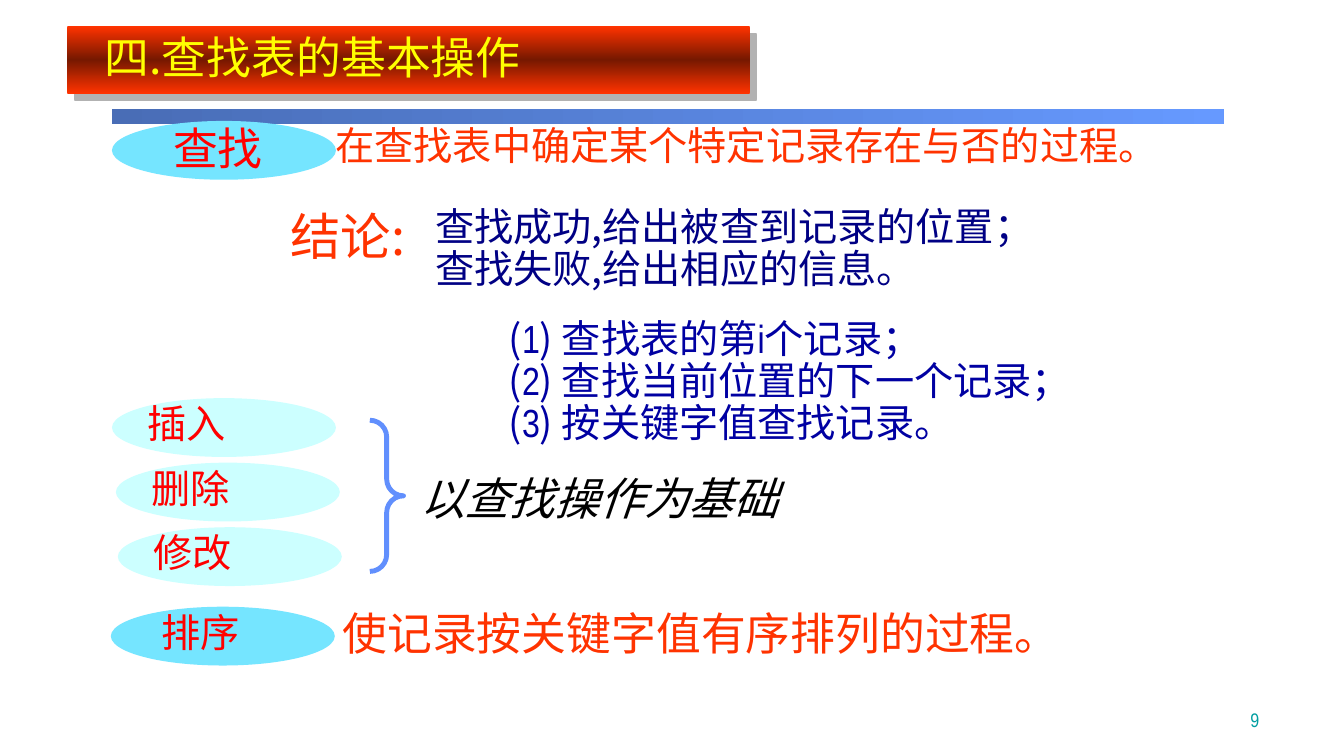
from pptx import Presentation
from pptx.dml.color import RGBColor
from pptx.enum.shapes import MSO_SHAPE
from pptx.enum.text import MSO_ANCHOR, PP_ALIGN
from pptx.oxml import parse_xml
from pptx.oxml.ns import qn
from pptx.util import Pt

RECT, OVAL, BRACE = MSO_SHAPE.RECTANGLE, MSO_SHAPE.OVAL, MSO_SHAPE.RIGHT_BRACE
TOP, BOTTOM = MSO_ANCHOR.TOP, MSO_ANCHOR.BOTTOM
LEFT, RIGHT = PP_ALIGN.LEFT, PP_ALIGN.RIGHT
NS = 'xmlns:a="http://schemas.openxmlformats.org/drawingml/2006/main"'
CJK, SLIM = "Noto Sans CJK SC", "Arial Narrow"
HUES = {
    "steel": "496DB6", "sky": "6699FF", "orange": "FF3300", "rust": "761800",
    "aqua": "75E5FF", "pale": "CCFFFF", "brace": "618FFD", "red": "FF0000",
    "yellow": "FFFF00", "navy": "000084", "blue": "0000A2", "black": "000000",
    "teal": "009EA1", "gray": "B2B2B2",
}


class Deck:
    def __init__(self, slide):
        self.slide = slide

    def shape(self, kind, box):
        item = self.slide.shapes.add_shape(kind, *map(Pt, box))
        item.shadow.inherit = False
        item.fill.background()
        item.line.fill.background()
        return item

    def shade(self, dist, hue):
        return parse_xml(
            f'<a:outerShdw {NS} blurRad="0" dist="{Pt(dist)}" dir="2700000" '
            f'algn="ctr" rotWithShape="0"><a:srgbClr val="{HUES[hue]}"/></a:outerShdw>')

    def band(self, box, hues, angle, shadow=False):
        item = self.shape(RECT, box)
        step = 100000 // (len(hues) - 1)
        stops = "".join(
            f'<a:gs pos="{i * step}"><a:srgbClr val="{HUES[hue]}"/></a:gs>'
            for i, hue in enumerate(hues))
        grad = parse_xml(
            f'<a:gradFill {NS} rotWithShape="1"><a:gsLst>{stops}</a:gsLst>'
            f'<a:lin ang="{angle * 60000}" scaled="0"/></a:gradFill>')
        props = item._element.spPr
        props.replace(props.find(qn("a:noFill")), grad)
        if shadow:
            props.find(qn("a:effectLst")).append(self.shade(7.1, "gray"))

    def oval(self, x, y, hue):
        item = self.shape(OVAL, (x, y, 160, 42))
        item.fill.solid()
        item.fill.fore_color.rgb = RGBColor.from_string(HUES[hue])

    def brace(self, box):
        item = self.shape(BRACE, box)
        item.adjustments[0] = item.adjustments[1] = 0.5
        item.line.color.rgb = RGBColor.from_string(HUES["brace"])
        item.line.width = Pt(3.5)

    def run(self, para, words, font, size, hue, slant, shadow):
        run = para.add_run()
        run.text = words
        run.font.size = Pt(size)
        run.font.color.rgb = RGBColor.from_string(HUES[hue])
        run.font.name = font
        if slant:
            run.font.italic = True
        latin = run._r.rPr.find(qn("a:latin"))
        latin.addnext(parse_xml(f'<a:ea {NS} typeface="{CJK}"/>'))
        if shadow:
            effect = parse_xml(f'<a:effectLst {NS}/>')
            effect.append(self.shade(1.5, "black"))
            latin.addprevious(effect)

    def text(self, box, lines, size, hue, font=CJK, space=None, before=0,
             align=LEFT, anchor=TOP, slant=False, shadow=False):
        frame = self.slide.shapes.add_textbox(*map(Pt, box)).text_frame
        frame.word_wrap = True
        frame.vertical_anchor = anchor
        for i, line in enumerate(lines):
            para = frame.add_paragraph() if i else frame.paragraphs[0]
            para.alignment = align
            if space:
                para.line_spacing = space
            if before:
                para.space_before = Pt(before)
            parts = [(line, font)] if isinstance(line, str) else line
            for words, face in parts:
                self.run(para, words, face, size, hue, slant, shadow)


def main():
    show = Presentation()
    show.slide_width, show.slide_height = Pt(960), Pt(540)
    deck = Deck(show.slides.add_slide(show.slide_layouts[6]))

    deck.band((80, 77.8, 794, 10.8), ("steel", "sky"), 0)
    deck.band((48.2, 18.7, 487.4, 48.2), ("orange", "rust", "orange"), 90, True)
    deck.text((67.7, 18, 487.4, 46), ["四.查找表的基本操作"], 32, "yellow", shadow=True)

    deck.oval(80, 86.4, "aqua")
    deck.text((116.6, 82.8, 121.7, 46), ["查找"], 32, "red", SLIM)
    deck.text((232.6, 82.8, 751.7, 41), ["在查找表中确定某个特定记录存在与否的过程。"],
              28, "orange", before=1.4, shadow=True)

    deck.text((200.2, 143.3, 159, 51), ["结论:"], 36, "orange")
    deck.text((303.8, 144.7, 581, 68.4),
              ["查找成功,给出被查到记录的位置；", "查找失败,给出相应的信息。"],
              28, "navy", space=0.9)

    ways = [
        [(") 查找表的第", CJK), ("i", SLIM), ("个记录；", CJK)],
        [(") 查找当前位置的下一个记录；", CJK)],
        [(") 按关键字值查找记录。", CJK)],
    ]
    lines = [[("(", CJK), (str(n), SLIM), *way] for n, way in enumerate(ways, 1)]
    deck.text((356.4, 224.6, 599.8, 98.6), lines, 28, "blue", space=0.9)

    edits = zip((80, 82.8, 84.2), (" 插入", " 删除", " 修改"))
    for i, (x, word) in enumerate(edits):
        y = 284.4 + 46.1 * i
        deck.oval(x, y, "pale")
        deck.text((x + 12.2, y - 2.6, 130.3, 41), [word], 28, "red")
    deck.brace((264.2, 300.2, 24, 108))
    deck.text((293, 332.6, 346.3, 46), ["以查找操作为基础"], 32, "black", SLIM, slant=True)

    deck.oval(79.2, 433.4, "aqua")
    deck.text((108, 431.3, 136, 41), ["排序"], 28, "red", SLIM)
    deck.text((237.6, 429.1, 610.6, 46), ["使记录按关键字值有序排列的过程。"],
              32, "orange", before=1.6, shadow=True)

    deck.text((706.3, 490.3, 200.2, 36), ["9"], 14, "teal", SLIM,
              before=7, align=RIGHT, anchor=BOTTOM)
    show.save("out.pptx")


if __name__ == "__main__":
    main()
